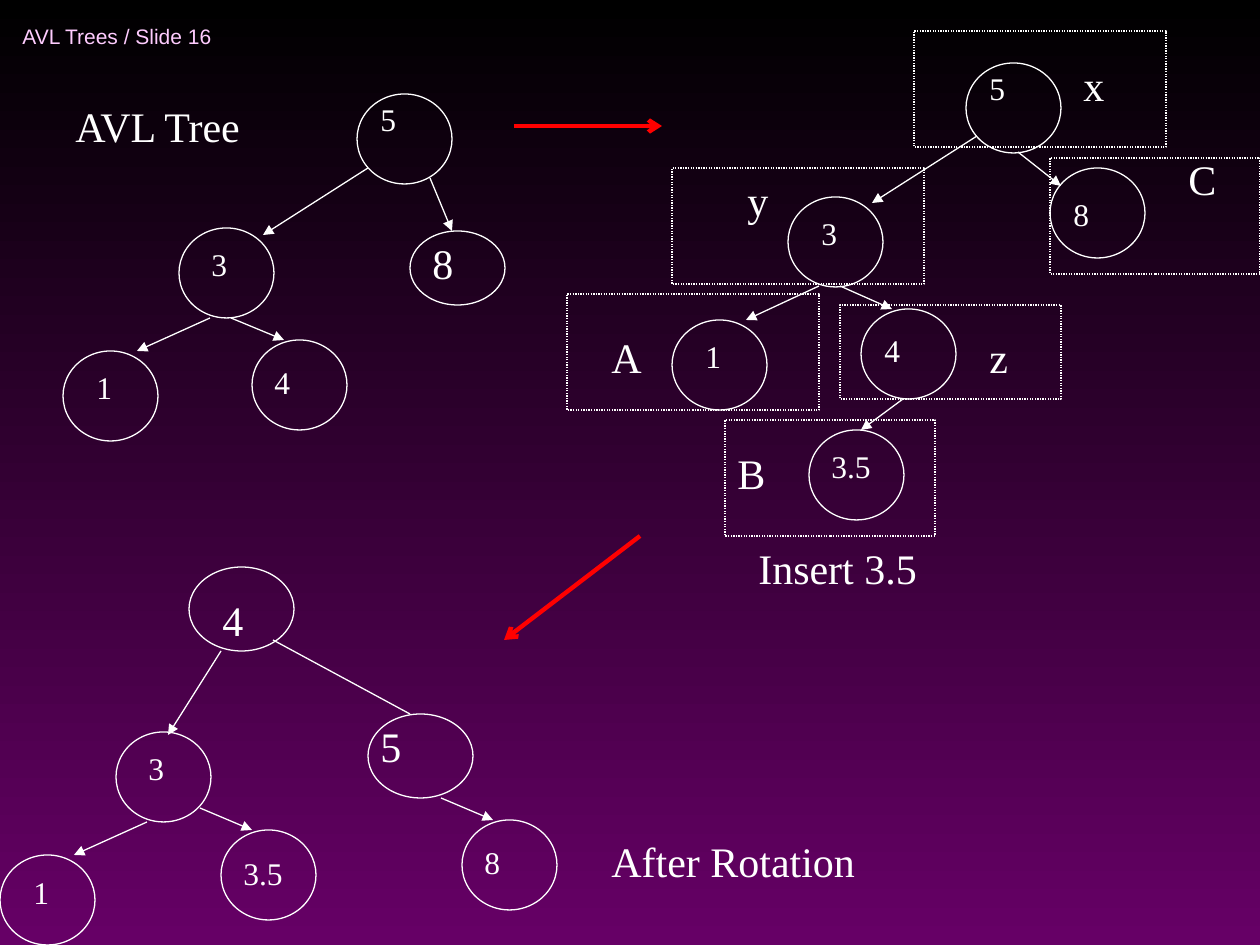
import pptx
import pptx.util
import pptx.dml.color
import pptx.enum.dml
import pptx.enum.shapes
import pptx.enum.text
import pptx.oxml

WHITE = pptx.dml.color.RGBColor(0xFF, 0xFF, 0xFF)
RED = pptx.dml.color.RGBColor(0xFF, 0x00, 0x00)
PINK = pptx.dml.color.RGBColor(0xFF, 0xCC, 0xFF)
BLACK = pptx.dml.color.RGBColor(0x00, 0x00, 0x00)
PURPLE = pptx.dml.color.RGBColor(0x66, 0x00, 0x66)
SCALE = 914400 / 126
SHAPE = pptx.enum.shapes.MSO_SHAPE
FIT = pptx.enum.text.MSO_AUTO_SIZE
MIDDLE = pptx.enum.text.MSO_ANCHOR.MIDDLE
DOTTED = pptx.enum.dml.MSO_LINE.ROUND_DOT


class Board:
    """Holds the style and the current slide, and draws trees on it."""

    def __init__(self, deck):
        self.slide = deck.slides.add_slide(deck.slide_layouts[6])
        self.font = {"name": "Times New Roman", "size": 18, "color": WHITE}

    def emu(self, *sizes):
        return [round(size * SCALE) for size in sizes]

    def apply(self, target, style):
        for key, value in style.items():
            setattr(target, key, value)

    def back(self, *colors):
        fill = self.slide.background.fill
        fill.gradient()
        fill.gradient_angle = 270
        for stop, color in zip(fill.gradient_stops, colors):
            stop.color.rgb = color

    def stroke(self, item, color, width):
        item.line.color.rgb = color
        item.line.width = pptx.util.Pt(width)

    def outline(self, kind, box, dash=None):
        item = self.slide.shapes.add_shape(kind, *self.emu(*box))
        item.shadow.inherit = False
        item.fill.background()
        self.stroke(item, WHITE, 0.75)
        if dash:
            item.line.dash_style = dash

    def text(self, words, left, top, width, size=24, high=None, frame=None, **font):
        high = high or (63 if size == 24 else 50)
        item = self.slide.shapes.add_textbox(*self.emu(left, top, width, high))
        style = {"word_wrap": True, "auto_size": FIT.SHAPE_TO_FIT_TEXT}
        self.apply(item.text_frame, {**style, **(frame or {})})
        para = item.text_frame.paragraphs[0]
        para.space_before = pptx.util.Pt(0 if frame else size * 0.625)
        run = para.add_run()
        run.text = words
        look = {**self.font, **font, "size": pptx.util.Pt(size)}
        run.font.color.rgb = look.pop("color")
        self.apply(run.font, look)

    def node(self, words, left, top, shift, drop, width, wide=95, high=90, size=18):
        self.outline(SHAPE.OVAL, (left, top, wide, high))
        self.text(words, left + shift, top + drop, width, size)

    def zone(self, words, box, left, top):
        self.outline(SHAPE.RECTANGLE, box, DOTTED)
        self.text(words, left, top, 84)

    def link(self, ends, color=WHITE, width=0.75, head="triangle"):
        kind = pptx.enum.shapes.MSO_CONNECTOR.STRAIGHT
        item = self.slide.shapes.add_connector(kind, *self.emu(*ends))
        self.stroke(item, color, width)
        frame = item.element.spPr
        name = pptx.oxml.ns.qn
        if head:
            tip = frame.find(name("a:ln")).makeelement(name("a:tailEnd"), {"type": head})
            frame.find(name("a:ln")).append(tip)
        frame.append(frame.makeelement(name("a:effectLst"), {}))


NODES = [
    ("5", 357, 94, 11, 0, 168),
    ("3", 179, 228, 20, 11, 168),
    ("1", 63, 351, 21, 11, 105),
    ("4", 252, 340, 10, 17, 126),
    ("8", 410, 231, 10, 0, 126, 95, 74, 24),
    ("5", 966, 63, 11, 0, 168),
    ("3", 788, 197, 21, 11, 168),
    ("8", 1050, 168, 11, 21, 116),
    ("1", 672, 320, 21, 11, 105),
    ("4", 861, 309, 11, 16, 126),
    ("3.5", 809, 430, 10, 11, 168),
    ("4", 189, 567, 21, 21, 262, 105, 84, 24),
    ("3", 116, 732, 20, 11, 168),
    ("5", 368, 714, 0, 0, 105, 105, 84, 24),
    ("1", 0, 855, 21, 12, 105),
    ("3.5", 221, 830, 10, 18, 126),
    ("8", 462, 820, 10, 17, 126),
]
LINKS = [
    (368, 168, 263, 235), (430, 178, 452, 231),
    (210, 318, 137, 351), (231, 318, 284, 340),
    (977, 136, 872, 203), (1018, 152, 1061, 186),
    (819, 286, 746, 320), (840, 286, 892, 309),
    (903, 399, 861, 430),
    (221, 651, 168, 735), (147, 822, 74, 855),
    (200, 808, 252, 830), (441, 798, 493, 820),
]
ZONES = [
    ("x", (914, 31, 252, 116), 1071, 53),
    ("y", (672, 168, 252, 116), 735, 168),
    ("A", (567, 294, 252, 116), 599, 325),
    ("z", (840, 305, 221, 94), 977, 325),
    ("B", (725, 420, 210, 116), 725, 441),
    ("C", (1050, 158, 210, 116), 1176, 147),
]
TITLES = [
    ("AVL Tree", 63, 94, 504),
    ("Insert 3.5", 746, 536, 514),
    ("After Rotation", 599, 829, 315),
]
STEPS = [(514, 126, 662, 126), (640, 536, 504, 640)]


def main():
    deck = pptx.Presentation()
    deck.slide_width = pptx.util.Inches(10)
    deck.slide_height = pptx.util.Inches(7.5)
    board = Board(deck)
    board.back(BLACK, PURPLE)
    board.text("AVL Trees / Slide 16", 10, 10, 346, 12, 53, name="Arial", color=PINK,
               frame={"vertical_anchor": MIDDLE, "auto_size": FIT.NONE})
    for node in NODES:
        board.node(*node)
    for ends in LINKS:
        board.link(ends)
    board.link((273, 640, 410, 714), head=None)
    for zone in ZONES:
        board.zone(*zone)
    for title in TITLES:
        board.text(*title)
    for step in STEPS:
        board.link(step, RED, 2.5, "arrow")
    deck.save("out.pptx")


if __name__ == "__main__":
    main()
